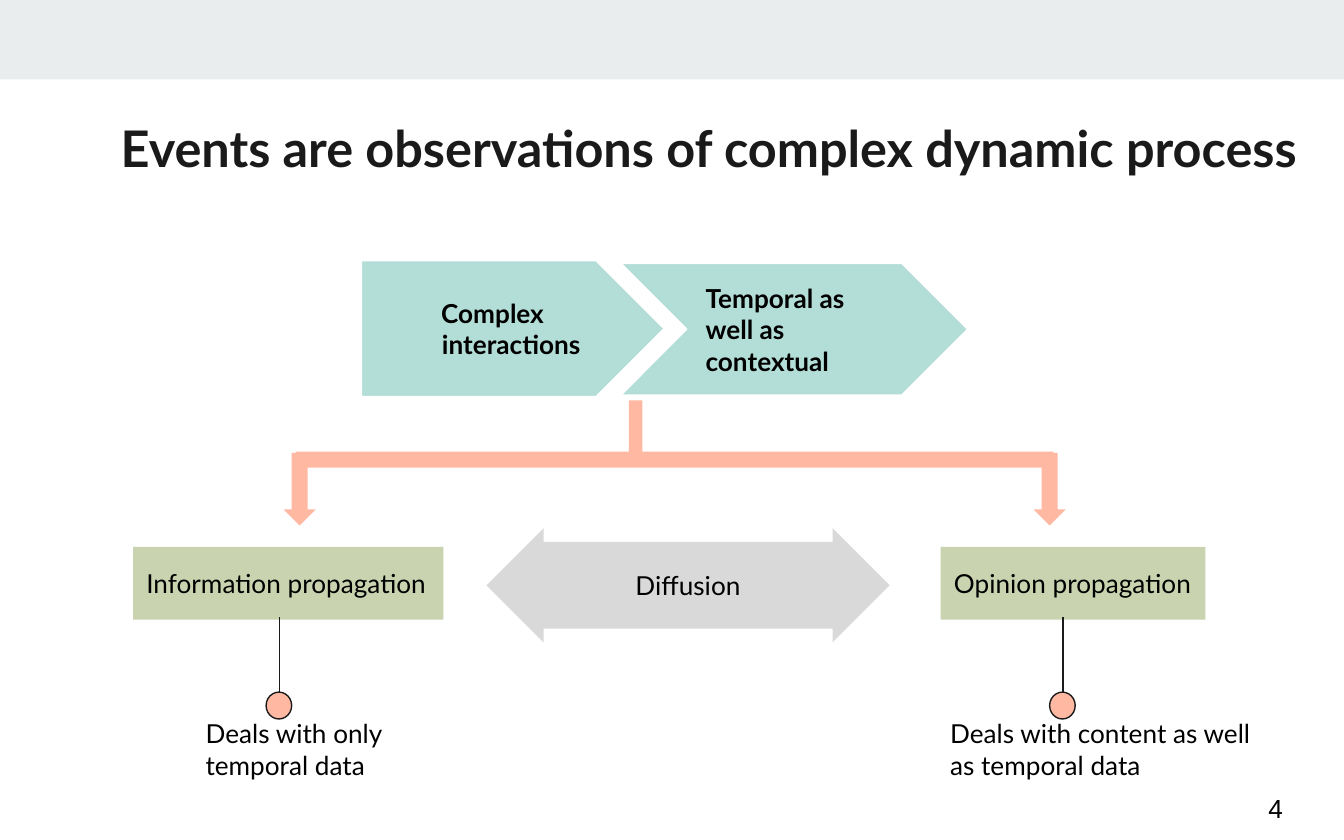
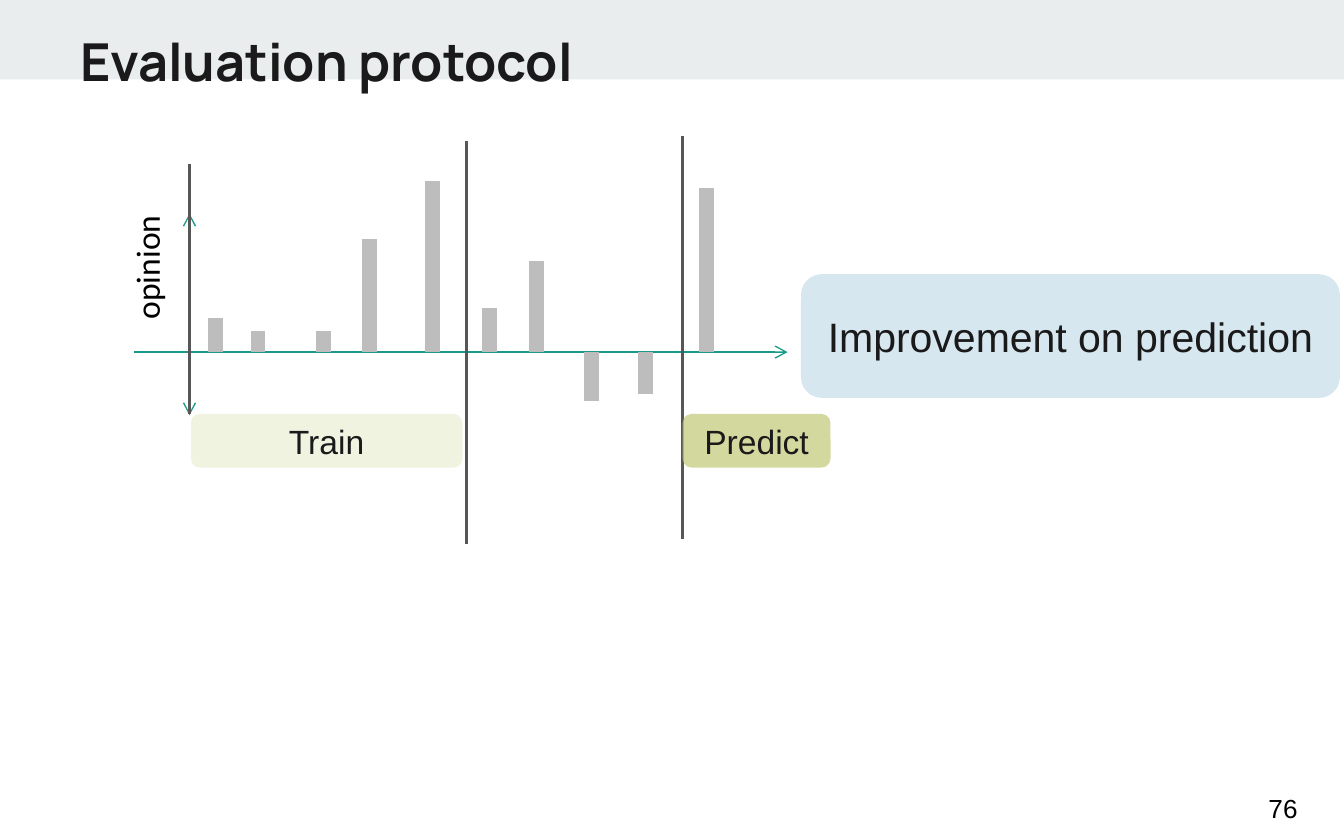
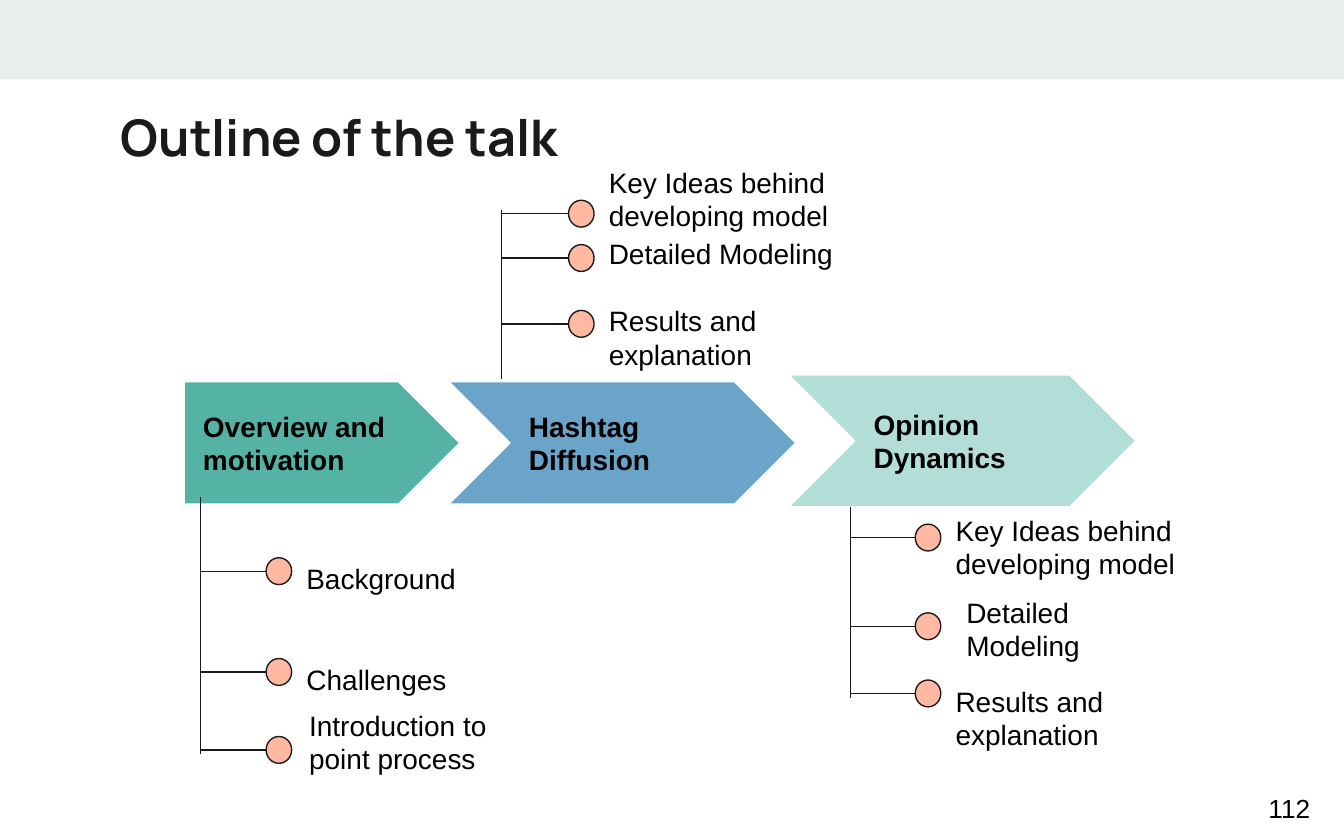
from lxml.etree import SubElement
from pptx import Presentation
from pptx.dml.color import RGBColor
from pptx.enum.shapes import MSO_CONNECTOR, MSO_SHAPE
from pptx.enum.text import MSO_ANCHOR, PP_ALIGN
from pptx.oxml.ns import qn
from pptx.util import Inches, Pt

INK = "1A1A1A"
BLACK = "000000"
WHITE = "FFFFFF"
TEAL = "1A9988"
BLUE = "6AA4C8"
PEACH = "FFB8A2"
SAGE = "A8B97F"
LIME = "C6CD82"
SKY = "C3DBE9"
BAND_GREY = "E9EDEE"
ARROW_GREY = "D9D9D9"
BAR_GREY = "BDBDBD"
RULE_GREY = "575757"

LATO = {"name": "Lato", "size": Pt(14)}
LATO_BOLD = {**LATO, "bold": True}
ARIAL = {"name": "Arial", "size": Pt(15)}
ARIAL_BOLD = {**ARIAL, "bold": True}
PAGE_NUMBER = {"name": "Arial", "size": Pt(14)}
TAG = {"name": "Arial", "size": Pt(18)}
CALLOUT = {"name": "Arial", "size": Pt(22)}
AXIS_LABEL = {"name": "Calibri", "size": Pt(18)}

EVEN = (0.1, 0.1)
TIGHT = (0.1, 0.05)
LABEL = (0.11, 0.11)
ARROW_INSET = (0.14, 0.14)


def color(hex_code):
    return RGBColor.from_string(hex_code)


def write(shape, text, style, ink=BLACK, align=PP_ALIGN.LEFT, anchor=MSO_ANCHOR.MIDDLE, inset=EVEN):
    """Fill a shape with text, one paragraph for each line."""
    frame = shape.text_frame
    across, down = map(Inches, inset)
    settings = {
        "word_wrap": True, "vertical_anchor": anchor,
        "margin_left": across, "margin_right": across,
        "margin_top": down, "margin_bottom": down,
    }
    for name, value in settings.items():
        setattr(frame, name, value)
    for index, line in enumerate(text.split("\n")):
        para = frame.add_paragraph() if index else frame.paragraphs[0]
        para.alignment = align
        span = para.add_run()
        span.text = line
        for name, value in style.items():
            setattr(span.font, name, value)
        span.font.color.rgb = color(ink)


def add_text(page, left, top, width, height, text, style, **layout):
    box = page.shapes.add_textbox(*map(Inches, (left, top, width, height)))
    write(box, text, style, **layout)
    return box


def add_block(page, kind, left, top, width, height, fill, opacity=100, outline=None, adjust=()):
    block = page.shapes.add_shape(kind, *map(Inches, (left, top, width, height)))
    block.shadow.inherit = False
    block.fill.solid()
    block.fill.fore_color.rgb = color(fill)
    if opacity < 100:
        tint = block.fill._xPr.find(qn("a:solidFill"))[0]
        SubElement(tint, qn("a:alpha"), val=str(opacity * 1000))
    if outline:
        block.line.color.rgb = color(outline)
        block.line.width = Pt(0.75)
    else:
        block.line.fill.background()
    for index, value in enumerate(adjust):
        block.adjustments[index] = value
    return block


def add_line(page, x1, y1, x2, y2, stroke=INK, width=0.75, arrows=()):
    """Draw a straight line; arrows names the ends ("head", "tail") that get a tip."""
    line = page.shapes.add_connector(MSO_CONNECTOR.STRAIGHT, *map(Inches, (x1, y1, x2, y2)))
    line.line.color.rgb = color(stroke)
    line.line.width = Pt(width)
    for end in arrows:
        SubElement(line.line._get_or_add_ln(), qn(f"a:{end}End"), type="arrow")
    SubElement(line._element.spPr, qn("a:effectLst"))


def add_dot(page, x, y):
    add_block(page, MSO_SHAPE.OVAL, x - 0.1, y - 0.1, 0.19, 0.2, PEACH, outline=INK)


def add_label(page, left, top, width, text, style):
    add_text(page, left, top, width, 0.29, text, style, anchor=MSO_ANCHOR.TOP, inset=LABEL)


def add_step(page, kind, left, top, width, height, text, style, fill, opacity=100):
    step = add_block(page, kind, left, top, width, height, fill, opacity, outline=WHITE)
    write(step, text, style, inset=ARROW_INSET)


def add_branches(page, stem, dot_x, branches):
    """Draw a stem with one dotted twig for each (y, label left, top, width, text)."""
    add_line(page, *stem)
    for y, left, top, width, text in branches:
        add_line(page, stem[0], y, dot_x - 0.08, y)
        add_dot(page, dot_x, y)
        add_label(page, left, top, width, text, ARIAL)


def add_page(deck, title, left, top, width, font, size, number):
    page = deck.slides.add_slide(deck.slide_layouts[6])
    add_block(page, MSO_SHAPE.RECTANGLE, 0, 0, 10, 0.59, BAND_GREY)
    style = {"name": font, "size": Pt(size), "bold": True}
    add_text(page, left, top, width, 0.65, title, style, ink=INK, anchor=MSO_ANCHOR.TOP)
    add_text(page, 9.34, 5.77, 0.6, 0.48, number, PAGE_NUMBER)
    return page


def build_events(deck):
    page = add_page(deck, "Events are observations of complex dynamic process",
                    0.8, 0.77, 9.74, "Lato", 27, "4")

    start = add_block(page, MSO_SHAPE.PENTAGON, 2.69, 1.94, 2.25, 1.01, TEAL, 33, WHITE)
    write(start, "Complex \ninteractions", LATO_BOLD)
    first, second = start.text_frame.paragraphs
    first.alignment = PP_ALIGN.CENTER
    second._p.get_or_add_pPr().set("indent", str(Inches(0.5)))
    add_step(page, MSO_SHAPE.CHEVRON, 4.62, 1.96, 2.58, 0.98,
             "Temporal as well as contextual", LATO_BOLD, TEAL, 33)

    for left in (2.11, 7.69):
        add_block(page, MSO_SHAPE.DOWN_ARROW, left, 3.37, 0.24, 0.54, PEACH)
    add_block(page, MSO_SHAPE.RECTANGLE, 2.2, 3.36, 5.64, 0.12, PEACH)
    add_block(page, MSO_SHAPE.RECTANGLE, 4.68, 2.98, 0.1, 0.47, PEACH)

    diffusion = add_block(page, MSO_SHAPE.LEFT_RIGHT_ARROW, 3.62, 3.93, 3, 0.85,
                          ARROW_GREY, adjust=(0.76, 0.5))
    write(diffusion, "Diffusion", LATO, align=PP_ALIGN.CENTER)

    kinds = [
        (0.99, 2.31, "Information propagation", 2.08, 1.42, 1.97,
         "Deals with only\ntemporal data"),
        (7, 1.97, "Opinion propagation", 7.91, 6.96, 2.58,
         "Deals with content as well as temporal data"),
    ]
    for left, width, name, dot_x, note_left, note_width, note in kinds:
        block = add_block(page, MSO_SHAPE.RECTANGLE, left, 4.07, width, 0.54, SAGE, 62)
        write(block, name, LATO)
        add_line(page, dot_x, 4.59, dot_x, 5.15)
        add_dot(page, dot_x, 5.25)
        add_label(page, note_left, 5.23, note_width, note, LATO)


def build_evaluation(deck):
    page = add_page(deck, "Evaluation protocol", 0.5, 0.12, 8.41, "Manrope", 28, "76")

    axis_y = 2.62
    add_line(page, 1, axis_y, 5.86, axis_y, TEAL, arrows=["tail"])
    add_line(page, 1.41, 3.09, 1.41, 1.59, TEAL, arrows=["head", "tail"])
    opinions = [(1.6, 2.37), (1.92, 2.46), (2.41, 2.46), (2.75, 1.78), (3.22, 1.35),
                (3.64, 2.29), (3.99, 1.94), (4.4, 2.98), (4.8, 2.93), (5.26, 1.4)]
    for x, end_y in opinions:
        add_line(page, x, axis_y, x, end_y, BAR_GREY, 8)
    axis_label = add_text(page, 0.53, 1.79, 1.12, 0.4, "opinion", AXIS_LABEL,
                          align=PP_ALIGN.CENTER, anchor=MSO_ANCHOR.TOP, inset=TIGHT)
    axis_label.rotation = 270

    for x, top, bottom in [(1.41, 1.22, 3.08), (3.47, 1.05, 4.05), (5.08, 1.01, 4.01)]:
        add_line(page, x, top, x, bottom, RULE_GREY, 1.5)

    tags = [
        (1.42, 3.08, 2.02, 0.4, LIME, 24, "Train", TAG),
        (5.08, 3.08, 1.1, 0.4, LIME, 76, "Predict", TAG),
        (5.96, 2.04, 4.01, 0.92, SKY, 66, "Improvement on prediction", CALLOUT),
    ]
    for left, top, width, height, fill, opacity, text, style in tags:
        tag = add_block(page, MSO_SHAPE.ROUNDED_RECTANGLE, left, top, width, height, fill, opacity)
        write(tag, text, style, ink=INK, align=PP_ALIGN.CENTER, inset=TIGHT)


def build_outline(deck):
    page = add_page(deck, "Outline of the talk", 0.8, 0.69, 8.41, "Manrope", 27, "112")

    steps = [
        (MSO_SHAPE.PENTAGON, 1.37, 2.84, 2.05, 0.91, "Overview and motivation", TEAL, 74),
        (MSO_SHAPE.CHEVRON, 3.34, 2.84, 2.58, 0.91, "Hashtag Diffusion", BLUE, 100),
        (MSO_SHAPE.CHEVRON, 5.87, 2.79, 2.58, 0.98, "Opinion Dynamics", TEAL, 33),
    ]
    for *place, text, fill, opacity in steps:
        add_step(page, *place, text, ARIAL_BOLD, fill, opacity)

    add_branches(page, (1.49, 3.7, 1.49, 5.61), 2.08, [
        (4.25, 2.17, 4.07, 2.86, "Background"),
        (5, 2.17, 4.82, 1.95, "Challenges"),
        (5.58, 2.19, 5.16, 1.79, "Introduction to point process"),
    ])
    add_branches(page, (3.73, 1.56, 3.73, 2.82), 4.33, [
        (1.59, 4.42, 1.12, 2.24, "Key Ideas behind developing model"),
        (1.92, 4.42, 1.65, 2.24, "Detailed Modeling"),
        (2.41, 4.42, 2.15, 1.53, "Results and explanation"),
    ])
    add_branches(page, (6.33, 3.77, 6.33, 5.19), 6.91, [
        (4, 7, 3.71, 2.24, "Key Ideas behind developing model"),
        (4.66, 7.08, 4.32, 1.53, "Detailed Modeling"),
        (5.16, 7, 4.98, 1.53, "Results and explanation"),
    ])


def main():
    deck = Presentation()
    deck.slide_width = Inches(10)
    deck.slide_height = Inches(6.25)
    build_events(deck)
    build_evaluation(deck)
    build_outline(deck)
    deck.save("out.pptx")


if __name__ == "__main__":
    main()
